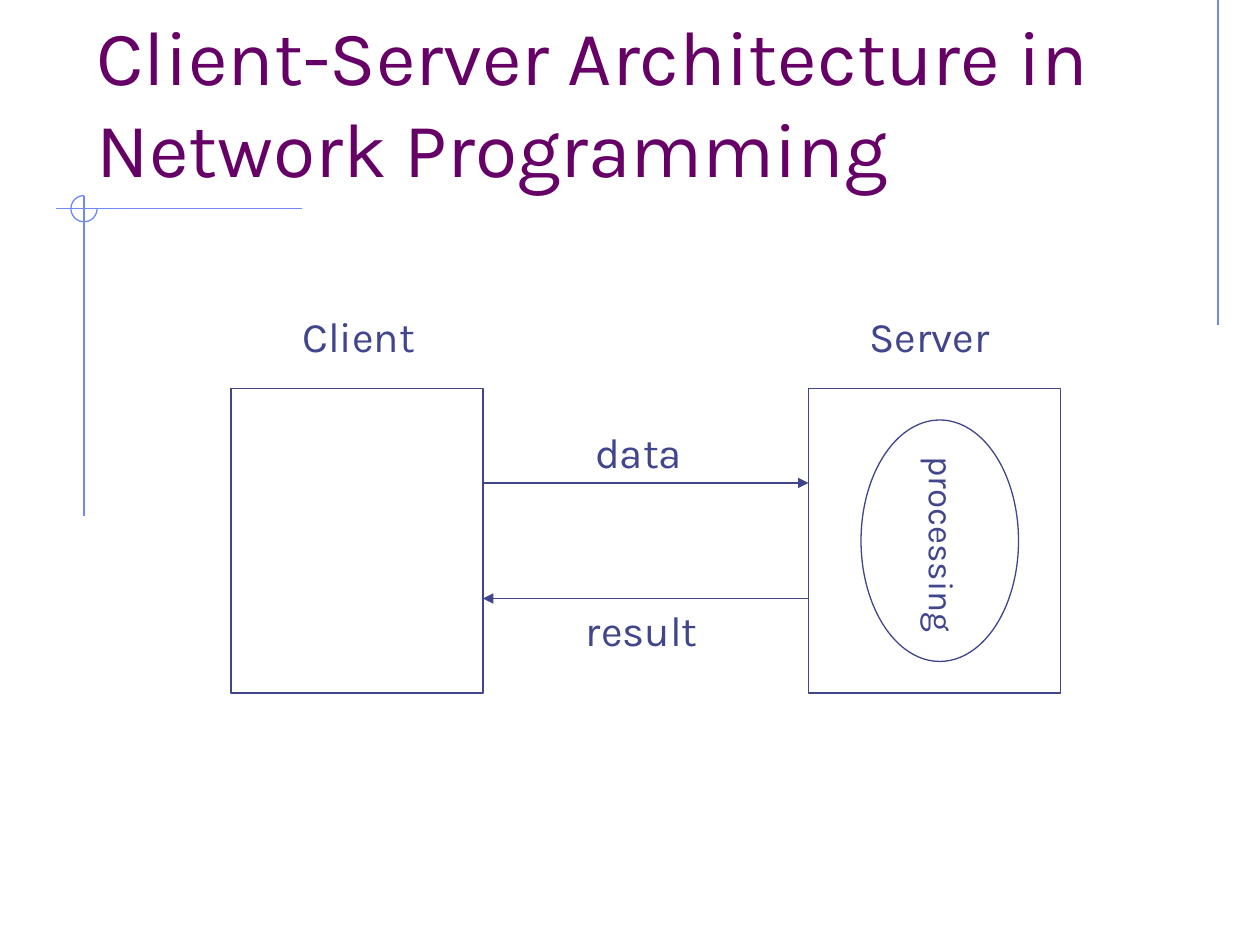
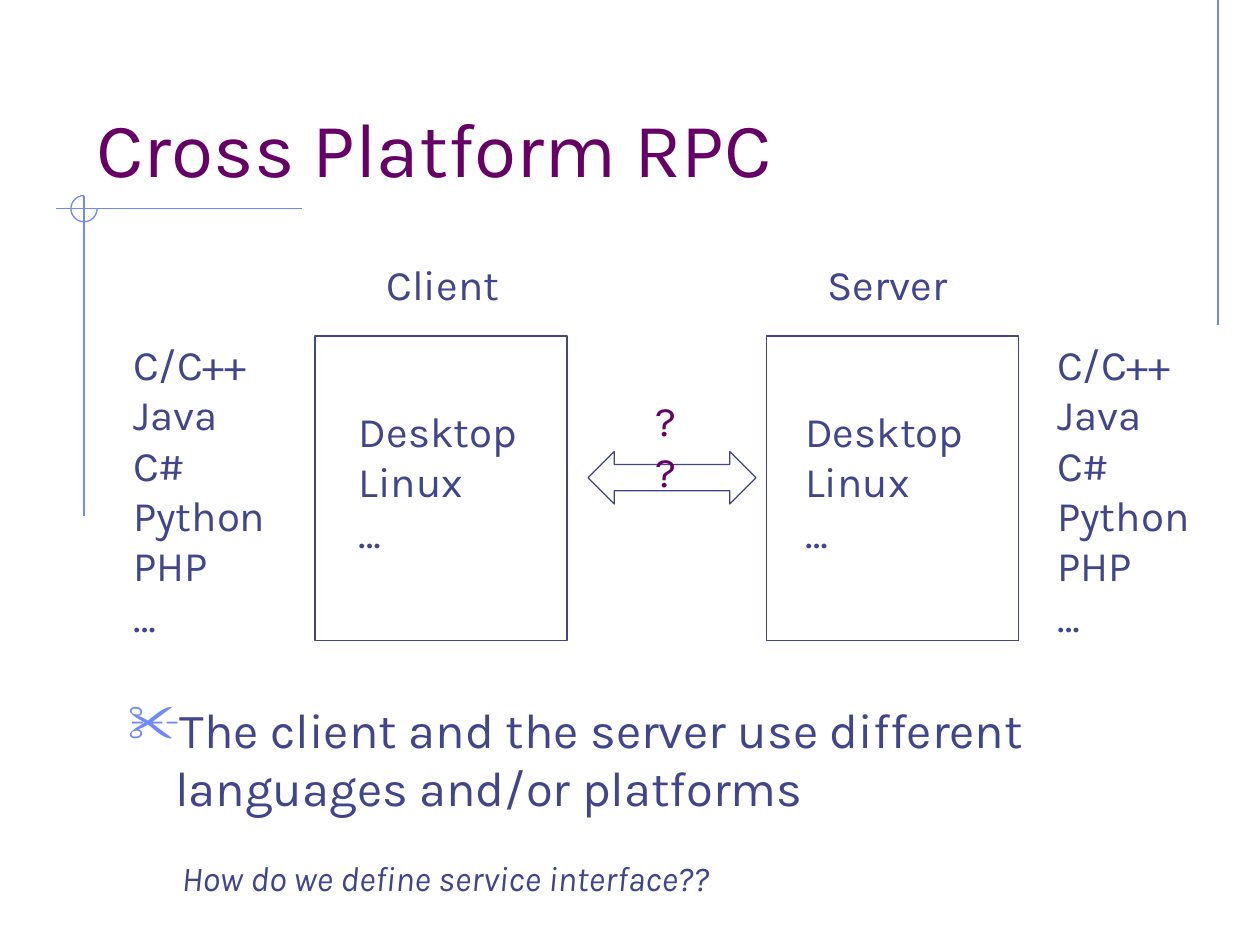
from lxml import etree
from pptx import Presentation
from pptx.dml.color import RGBColor
from pptx.enum.shapes import MSO_CONNECTOR, MSO_SHAPE
from pptx.enum.text import MSO_ANCHOR, MSO_AUTO_SIZE, PP_ALIGN
from pptx.oxml.ns import qn
from pptx.util import Emu, Pt

STRAIGHT = MSO_CONNECTOR.STRAIGHT
RECTANGLE, ELLIPSE, ARC = MSO_SHAPE.RECTANGLE, MSO_SHAPE.OVAL, MSO_SHAPE.ARC
DOUBLE_ARROW = MSO_SHAPE.LEFT_RIGHT_ARROW
BOTTOM, LEFT = MSO_ANCHOR.BOTTOM, PP_ALIGN.LEFT
FIXED_SIZE, FIT_TEXT = MSO_AUTO_SIZE.NONE, MSO_AUTO_SIZE.SHAPE_TO_FIT_TEXT

EMU_PER_PX = 9525
FONT = "Karla"
COLORS = {"title": "660066", "ink": "40458C", "accent": "6F89F7"}
HOST_WIDTH, HOST_HEIGHT = 192, 232
HOST_LABELS = {"Client": (45, 105), "Server": (37, 115)}  # left inset, width
LANGUAGES = ["C/C++", "Java", "C#", "Python", "PHP", "…"]
PLATFORMS = ["Desktop", "Linux", "…"]


def px(*lengths):
    return [Emu(length * EMU_PER_PX) for length in lengths]


def rgb(color):
    return RGBColor.from_string(COLORS[color])


def write(text_frame, lines, size=24, color="ink", italic=False):
    """Fill a text frame with one paragraph per line."""
    for index, line in enumerate(lines):
        paragraph = text_frame.paragraphs[0] if index == 0 else text_frame.add_paragraph()
        paragraph.alignment = LEFT
        run = paragraph.add_run()
        run.text = line
        run.font.name = FONT
        run.font.size = Pt(size)
        run.font.italic = italic
        run.font.color.rgb = rgb(color)


class Deck:
    def __init__(self):
        self.presentation = Presentation()
        self.presentation.slide_width, self.presentation.slide_height = px(960, 720)
        self.slide = None

    def add_slide(self, title):
        self.slide = self.presentation.slides.add_slide(self.presentation.slide_layouts[5])
        self.frame()
        self.title(title)

    def title(self, text):
        shape = self.slide.shapes.title
        shape.left, shape.top, shape.width, shape.height = px(64, 32, 816, 120)
        text_frame = shape.text_frame
        text_frame.vertical_anchor = BOTTOM
        text_frame.auto_size = FIXED_SIZE
        write(text_frame, [text], size=44, color="title")

    def frame(self):
        """Corner lines and the arc around their crossing."""
        self.line(928, 0, 928, 248, color="accent")
        self.line(230, 159, 43, 159, color="accent")
        self.line(64, 149, 64, 393, color="accent")
        arc = self.outline(ARC, 54, 149, 20, 20, color="accent")
        arc.adjustments[0] = 0
        arc.adjustments[1] = 162  # 270 degrees

    def line(self, x1, y1, x2, y2, color="ink", arrow=False):
        connector = self.slide.shapes.add_connector(STRAIGHT, *px(x1, y1, x2, y2))
        connector.line.color.rgb = rgb(color)
        connector.line.width = Pt(0.75)
        if arrow:
            etree.SubElement(connector.line._get_or_add_ln(), qn("a:tailEnd"), type="triangle")
        etree.SubElement(connector._element.spPr, qn("a:effectLst"))

    def outline(self, kind, left, top, width, height, color="ink"):
        shape = self.slide.shapes.add_shape(kind, *px(left, top, width, height))
        shape.shadow.inherit = False
        shape.fill.background()
        shape.line.color.rgb = rgb(color)
        shape.line.width = Pt(0.75)
        return shape

    def text(self, lines, left, top, width, height, wrap=False, rotation=0, **style):
        box = self.slide.shapes.add_textbox(*px(left, top, width, height))
        box.rotation = rotation
        box.text_frame.word_wrap = wrap
        box.text_frame.auto_size = FIXED_SIZE if wrap else FIT_TEXT
        write(box.text_frame, lines, **style)
        return box

    def bullet(self, text, left, top, width, height):
        box = self.text([text], left, top, width, height, wrap=True, size=28)
        properties = box.text_frame.paragraphs[0]._p.get_or_add_pPr()
        indent = px(36)[0]
        properties.set("marL", str(indent))
        properties.set("indent", str(-indent))
        bullet_color = etree.SubElement(properties, qn("a:buClr"))
        etree.SubElement(bullet_color, qn("a:srgbClr"), val=COLORS["accent"])
        etree.SubElement(properties, qn("a:buSzPct"), val="110000")
        etree.SubElement(properties, qn("a:buChar"), char="✂")

    def host(self, name, left, top):
        """A machine box with its name above."""
        self.outline(RECTANGLE, left, top, HOST_WIDTH, HOST_HEIGHT)
        inset, width = HOST_LABELS[name]
        self.text([name], left + inset, top - 64, width, 48)


def client_server_slide(deck):
    deck.add_slide("Client-Server Architecture in Network Programming")
    client, server = 176, 616
    client_edge = client + HOST_WIDTH
    deck.host("Client", client, 296)
    deck.host("Server", server, 296)

    # Messages between the hosts
    deck.line(client_edge, 368, server, 368, arrow=True)
    deck.line(server, 456, client_edge, 456, arrow=True)
    deck.text(["data"], 444, 320, 87, 48)
    deck.text(["result"], 437, 456, 105, 48)

    # Work inside the server
    deck.text(["processing"], 640, 395, 156, 42, rotation=90, size=20)
    deck.outline(ELLIPSE, 656, 320, 120, 184)


def cross_platform_slide(deck):
    deck.add_slide("Cross Platform RPC")

    # Hosts with their platforms and languages
    for name, host_left, platforms_left, languages_left in (
        ("Client", 240, 264, 92),
        ("Server", 584, 604, 796),
    ):
        deck.host(name, host_left, 256)
        deck.text(PLATFORMS, platforms_left, 304, 156, 125)
        deck.text(LANGUAGES, languages_left, 253, 125, 240)

    # Open question between the hosts
    deck.outline(DOUBLE_ARROW, 448, 344, 128, 40)
    deck.text(["??"], 490, 296, 47, 48, wrap=True, color="title")

    # Conclusions
    deck.bullet("The client and the server use different languages and/or platforms",
                88, 528, 816, 104)
    deck.text(["How do we define service interface??"], 129, 648, 450, 42,
              size=20, italic=True)


def main():
    deck = Deck()
    client_server_slide(deck)
    cross_platform_slide(deck)
    deck.presentation.save("out.pptx")


if __name__ == "__main__":
    main()
